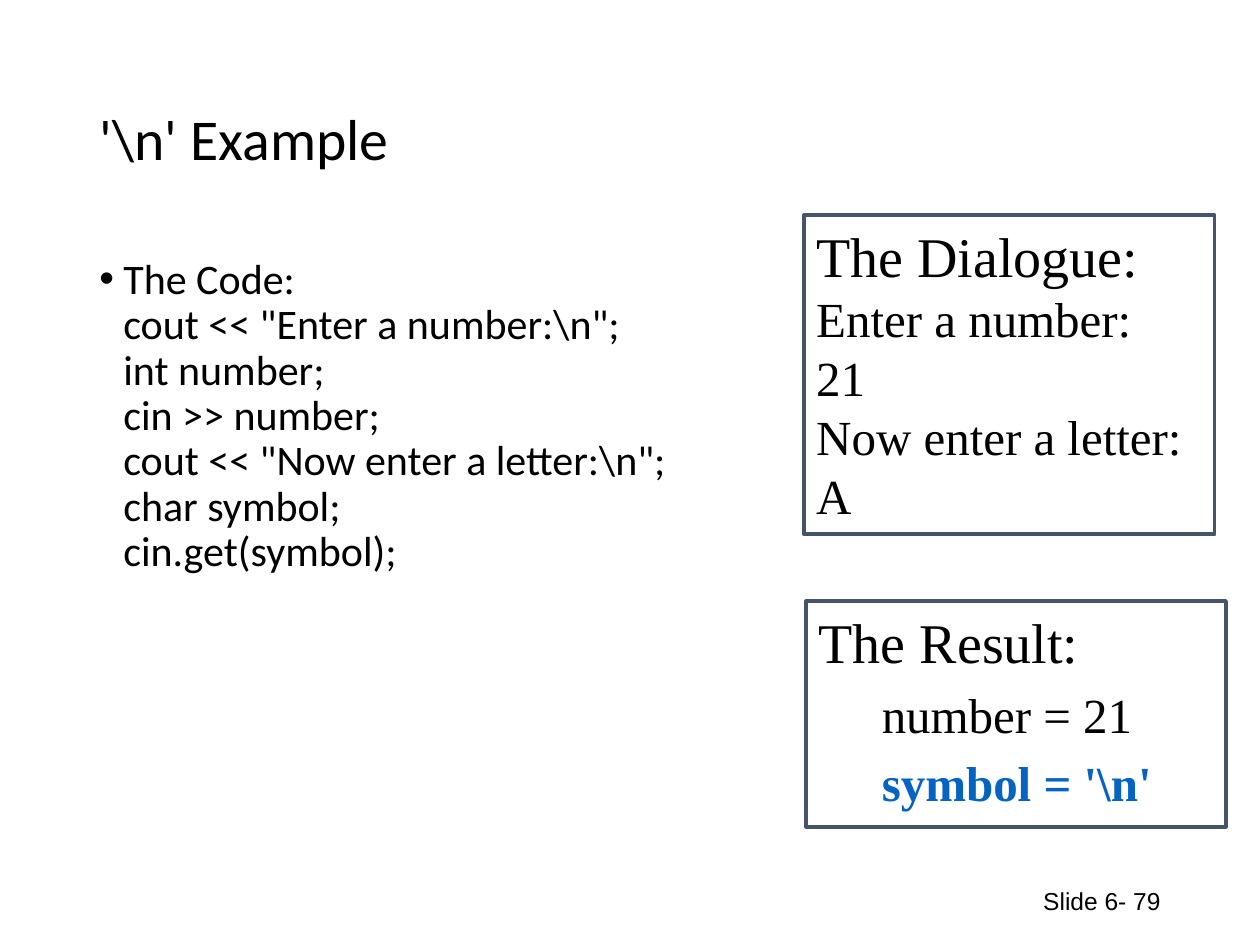
from pptx import Presentation
from pptx import util as u
from pptx.dml.color import RGBColor
from pptx.enum import shapes, text
from pptx.oxml.xmlchemy import OxmlElement

COLORS = {"text": "000000", "border": "44546A", "accent": "0563C1"}

TITLE = {"name": "Calibri", "size": u.Pt(33)}
CODE = {"name": "Calibri", "size": u.Pt(24)}
HEADING = {"name": "Times New Roman", "size": u.Pt(32)}
DETAIL = {"name": "Times New Roman", "size": u.Pt(28)}
STRONG = {**DETAIL, "bold": True}
FOOTER = {"name": "Arial", "size": u.Pt(14)}

CODE_LINES = [
    "The Code: ",
    'cout << "Enter a number:\\n";',
    "int number;",
    "cin >> number;",
    'cout << "Now enter a letter:\\n";',
    "char symbol;",
    "cin.get(symbol);",
]
DIALOGUE_LINES = ["Enter a number:", "21", "Now enter a letter:", "A"]


def set_values(target, values):
    for name, value in values.items():
        setattr(target, name, value)


def add_lines(paragraph, lines, font, color="text"):
    for line in lines:
        if paragraph.runs:
            paragraph.add_line_break()
        run = paragraph.add_run()
        run.text = line
        set_values(run.font, font)
        run.font.color.rgb = RGBColor.from_string(COLORS[color])


def set_indent(paragraph, left, first=0, bullet=None):
    properties = paragraph._p.get_or_add_pPr()
    properties.set("marL", str(u.Inches(left)))
    properties.set("indent", str(u.Inches(first)))
    if bullet:
        font = OxmlElement("a:buFont")
        font.set("typeface", "Arial")
        character = OxmlElement("a:buChar")
        character.set("char", bullet)
        properties.extend([font, character])


def add_text(slide, box, lines, font, anchor=text.MSO_ANCHOR.TOP, **layout):
    shape = slide.shapes.add_textbox(*map(u.Inches, box))
    set_values(shape.text_frame, {"word_wrap": True, "vertical_anchor": anchor})
    paragraph = shape.text_frame.paragraphs[0]
    set_values(paragraph, layout)
    add_lines(paragraph, lines, font)
    return paragraph


def add_panel(slide, box, heading):
    shape = slide.shapes.add_shape(shapes.MSO_SHAPE.RECTANGLE, *map(u.Inches, box))
    shape.shadow.inherit = False
    shape.fill.background()
    shape.line.color.rgb = RGBColor.from_string(COLORS["border"])
    shape.line.width = u.Pt(2.25)
    set_values(shape.text_frame, {
        "word_wrap": True,
        "auto_size": text.MSO_AUTO_SIZE.SHAPE_TO_FIT_TEXT,
        "vertical_anchor": text.MSO_ANCHOR.TOP,
    })
    paragraph = shape.text_frame.paragraphs[0]
    set_values(paragraph, {"alignment": text.PP_ALIGN.LEFT, "space_before": u.Pt(6.4)})
    add_lines(paragraph, [heading], HEADING)
    return shape.text_frame


def add_result(frame, line, font, color):
    paragraph = frame.add_paragraph()
    set_values(paragraph, {
        "level": 1,
        "alignment": text.PP_ALIGN.LEFT,
        "space_before": u.Pt(5.6),
    })
    set_indent(paragraph, 0.5)
    add_lines(paragraph, [line], font, color)


def main():
    presentation = Presentation()
    set_values(presentation, {"slide_width": u.Inches(10), "slide_height": u.Inches(7.5)})
    slide = presentation.slides.add_slide(presentation.slide_layouts[6])

    add_text(slide, (0.69, 0.4, 8.62, 1.45), ["'\\n' Example"], TITLE,
             text.MSO_ANCHOR.MIDDLE, line_spacing=0.9)
    code = add_text(slide, (0.69, 2, 8.62, 3.09), CODE_LINES, CODE,
                    line_spacing=0.9, space_before=u.Pt(7.5))
    set_indent(code, 0.19, -0.19, "•")

    dialogue = add_panel(slide, (6.38, 1.71, 3.26, 2.53), "The Dialogue:")
    add_lines(dialogue.paragraphs[0], DIALOGUE_LINES, DETAIL)

    result = add_panel(slide, (6.4, 4.77, 3.33, 1.79), "The Result:")
    add_result(result, "number = 21", DETAIL, "text")
    add_result(result, "symbol = '\\n'", STRONG, "accent")

    add_text(slide, (7.06, 6.95, 2.25, 0.4), ["Slide 6- 79"], FOOTER,
             text.MSO_ANCHOR.MIDDLE, alignment=text.PP_ALIGN.RIGHT)
    presentation.save("out.pptx")


if __name__ == "__main__":
    main()
